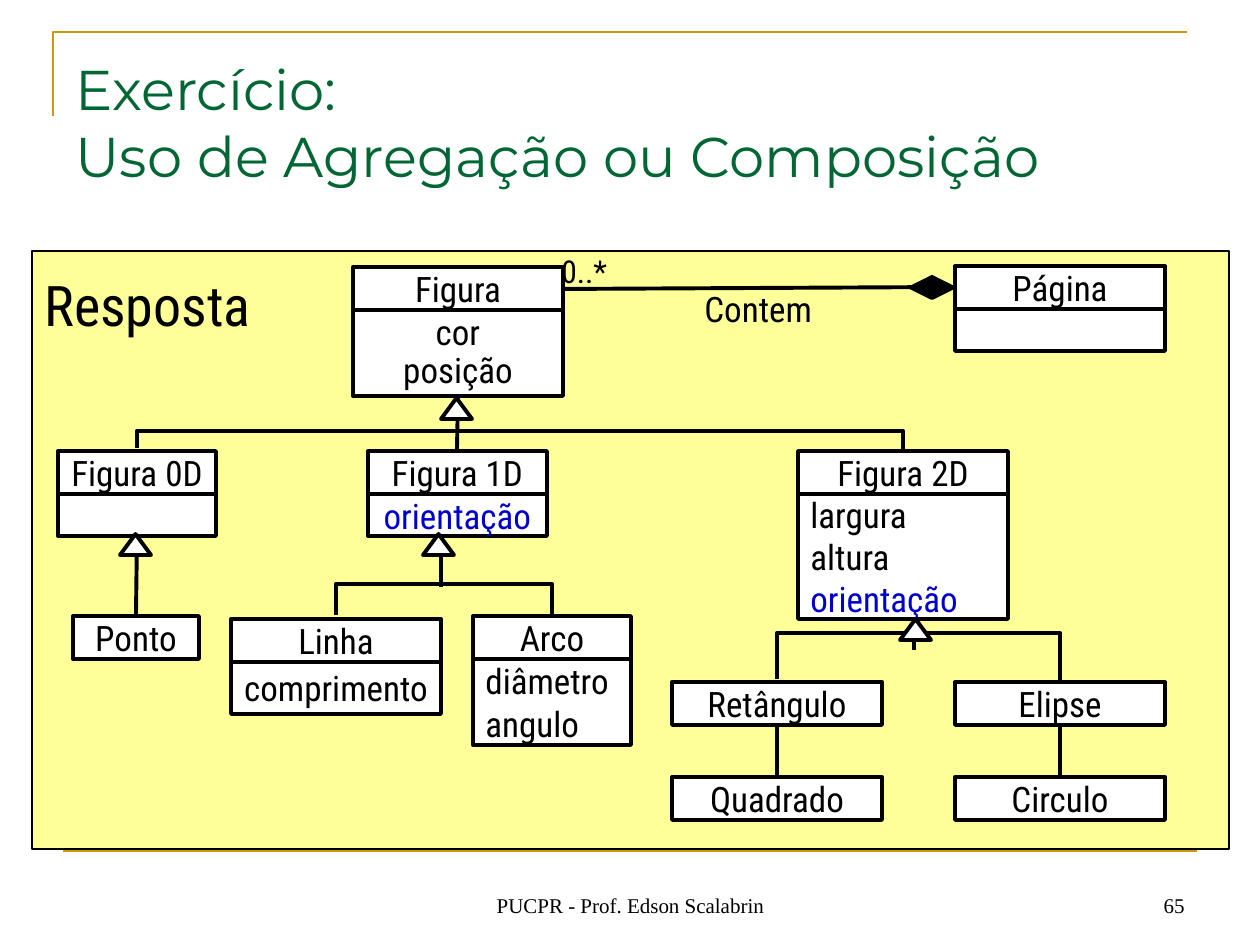
from dataclasses import dataclass

from lxml import etree
from pptx import Presentation
from pptx.dml.color import RGBColor
from pptx.enum.shapes import MSO_CONNECTOR, MSO_SHAPE
from pptx.enum.text import MSO_ANCHOR, MSO_AUTO_SIZE, PP_ALIGN
from pptx.oxml.ns import qn
from pptx.util import Emu, Pt

LEFT, CENTER, RIGHT = PP_ALIGN.LEFT, PP_ALIGN.CENTER, PP_ALIGN.RIGHT
TOP, MIDDLE, BOTTOM = MSO_ANCHOR.TOP, MSO_ANCHOR.MIDDLE, MSO_ANCHOR.BOTTOM
STRAIGHT, ELBOW = MSO_CONNECTOR.STRAIGHT, MSO_CONNECTOR.ELBOW
RECTANGLE = MSO_SHAPE.RECTANGLE
DIAMOND, TRIANGLE = MSO_SHAPE.FLOWCHART_DECISION, MSO_SHAPE.FLOWCHART_EXTRACT
FIT_TEXT, NO_FIT = MSO_AUTO_SIZE.SHAPE_TO_FIT_TEXT, MSO_AUTO_SIZE.NONE

PX_PER_INCH = 126
EMU_PER_PX = 914400 / PX_PER_INCH


@dataclass(frozen=True)
class Theme:
    ink: str = "000000"
    paper: str = "FFFFFF"
    panel: str = "FFFF99"
    accent: str = "CC9900"
    heading: str = "006633"
    shared: str = "0000CC"
    title_font: str = "Montserrat"
    body_font: str = "Roboto Condensed"
    footer_font: str = "Times New Roman"
    title_size: int = 32
    class_size: int = 20
    label_size: int = 18
    footer_size: int = 12
    rule: float = 1.5
    outline: float = 2.25
    hairline: float = 0.75


THEME = Theme()

TITLE = "Exercício:\vUso de Agregação ou Composição"
TITLE_AREA = (63, 38, 1134, 157)
CORNER = [(53, 116), (53, 32), (1187, 32)]
BASE_RULE = (63, 851, 1197, 851)
PANEL = (32, 251, 1197, 598)
PANEL_TEXT_TOP = 19
FOOTERS = [
    ("PUCPR - Prof. Edson Scalabrin", (431, 861, 399, 63), CENTER),
    ("65", (903, 861, 294, 63), RIGHT),
]

HEAD_HEIGHT = 43
SHARED_ATTRIBUTE = "orientação"
# name, left, top, width, attribute area height, attributes, alignment, line spacing
CLASSES = [
    ("Página", 955, 266, 210, 42, [], CENTER, 1),
    ("Figura", 353, 267, 210, 86, ["cor", "posição"], CENTER, 0.9),
    ("Figura 0D", 58, 451, 158, 42, [], CENTER, 1),
    ("Figura 1D", 368, 451, 179, 42, [SHARED_ATTRIBUTE], CENTER, 1),
    ("Figura 2D", 798, 451, 210, 125, ["largura", "altura", SHARED_ATTRIBUTE], LEFT, 1),
    ("Ponto", 73, 616, 126, 0, [], CENTER, 1),
    ("Linha", 231, 619, 210, 52, ["comprimento"], CENTER, 1),
    ("Arco", 473, 616, 158, 86, ["diâmetro", "angulo"], LEFT, 1),
    ("Retângulo", 672, 682, 210, 0, [], CENTER, 1),
    ("Elipse", 955, 682, 210, 0, [], CENTER, 1),
    ("Quadrado", 672, 777, 210, 0, [], CENTER, 1),
    ("Circulo", 955, 777, 210, 0, [], CENTER, 1),
]
# left, right, foot, rise
BRACKETS = [(777, 1060, 680, 47), (336, 552, 616, 32), (137, 903, 449, 18)]
LINKS = [
    (914, 619, 914, 650),
    (777, 775, 777, 727),
    (1060, 775, 1060, 727),
    (441, 587, 441, 534),
    (136, 615, 137, 537),
    (457, 449, 458, 398),
    (564, 289, 954, 287),
]
COMPOSITION = (911, 277, 42, 21)
TRIANGLES = [(423, 534), (441, 398), (120, 534), (900, 619)]
TRIANGLE_SIZE = (31, 21)
LABELS = [
    ("Contem", (692, 281, 155, 55), THEME.class_size),
    ("0..*", (549, 246, 77, 50), THEME.label_size),
]


def px(*values):
    return [Emu(round(value * EMU_PER_PX)) for value in values]


def color(value):
    return RGBColor.from_string(value)


def apply(target, **values):
    for name, value in values.items():
        setattr(target, name, value)


def write(shape, lines, size, font=THEME.body_font, ink=THEME.ink,
          align=LEFT, anchor=MIDDLE, spacing=1, wrap=False):
    frame = shape.text_frame
    apply(frame, word_wrap=wrap, vertical_anchor=anchor)
    for index, line in enumerate(lines):
        para = frame.paragraphs[0] if index == 0 else frame.add_paragraph()
        apply(para, text=line, alignment=align, line_spacing=spacing)
        apply(para.font, name=font, size=Pt(size))
        para.font.color.rgb = color(THEME.shared if line == SHARED_ATTRIBUTE else ink)


def stroke(shape, ink=THEME.ink, width=THEME.outline):
    shape.line.color.rgb = color(ink)
    shape.line.width = Pt(width)


def add_solid(page, kind, area, fill=THEME.paper, width=THEME.outline):
    shape = page.shapes.add_shape(kind, *px(*area))
    shape.shadow.inherit = False
    shape.fill.solid()
    shape.fill.fore_color.rgb = color(fill)
    stroke(shape, width=width)
    return shape


def add_line(page, ends, kind=STRAIGHT, **pen):
    line = page.shapes.add_connector(kind, *px(*ends))
    stroke(line, **pen)
    etree.SubElement(line._element.spPr, qn("a:effectLst"))
    return line


def add_bracket(page, left, right, foot, rise):
    """Elbow connector turned a quarter so that it runs up, across and down."""
    middle, half = (left + right) / 2, (right - left) / 2
    line = add_line(page, (middle - 0.5, foot - half, middle + 0.5, foot + half), ELBOW)
    properties = line._element.spPr
    frame = properties.find(qn("a:xfrm"))
    frame.set("rot", "16200000")
    frame.set("flipH", "1")
    guides = properties.find(qn("a:prstGeom")).find(qn("a:avLst"))
    etree.SubElement(guides, qn("a:gd"), name="adj1", fmla=f"val {-rise * 100000}")


def add_class(page, name, left, top, width, body_height, attributes, align, spacing):
    head = add_solid(page, RECTANGLE, (left, top, width, HEAD_HEIGHT))
    write(head, [name], THEME.class_size, align=CENTER)
    if body_height:
        body = add_solid(page, RECTANGLE, (left, top + HEAD_HEIGHT, width, body_height))
        write(body, attributes, THEME.class_size, align=align, spacing=spacing)


def add_frame(page):
    """Title, corner, base rule and footers."""
    corner = page.shapes.build_freeform(*CORNER[0], scale=EMU_PER_PX)
    corner.add_line_segments(CORNER[1:], close=False)
    corner = corner.convert_to_shape()
    corner.shadow.inherit = False
    corner.fill.background()
    stroke(corner, THEME.accent, THEME.rule)
    add_line(page, BASE_RULE, ink=THEME.accent, width=THEME.rule)

    for text, area, align in FOOTERS:
        box = page.shapes.add_textbox(*px(*area))
        write(box, [text], THEME.footer_size, THEME.footer_font,
              align=align, anchor=BOTTOM, wrap=True)

    title = page.shapes.title
    apply(title, **dict(zip(("left", "top", "width", "height"), px(*TITLE_AREA))))
    title.text_frame.auto_size = NO_FIT
    write(title, [TITLE], THEME.title_size, THEME.title_font, THEME.heading,
          anchor=BOTTOM, wrap=True)


def add_diagram(page):
    panel = add_solid(page, RECTANGLE, PANEL, THEME.panel, THEME.hairline)
    write(panel, ["Resposta"], THEME.title_size, anchor=TOP)
    panel.text_frame.margin_top = px(PANEL_TEXT_TOP)[0]
    for entry in CLASSES:
        add_class(page, *entry)
    for bracket in BRACKETS:
        add_bracket(page, *bracket)
    for ends in LINKS:
        add_line(page, ends)
    add_solid(page, DIAMOND, COMPOSITION, THEME.ink)
    for corner in TRIANGLES:
        add_solid(page, TRIANGLE, corner + TRIANGLE_SIZE)
    for text, area, size in LABELS:
        box = page.shapes.add_textbox(*px(*area))
        write(box, [text], size, anchor=TOP)
        box.text_frame.auto_size = FIT_TEXT


def main():
    deck = Presentation()
    deck.slide_width, deck.slide_height = px(10 * PX_PER_INCH, 7.5 * PX_PER_INCH)
    page = deck.slides.add_slide(deck.slide_layouts.get_by_name("Title Only"))
    add_frame(page)
    add_diagram(page)
    deck.save("out.pptx")


if __name__ == "__main__":
    main()
